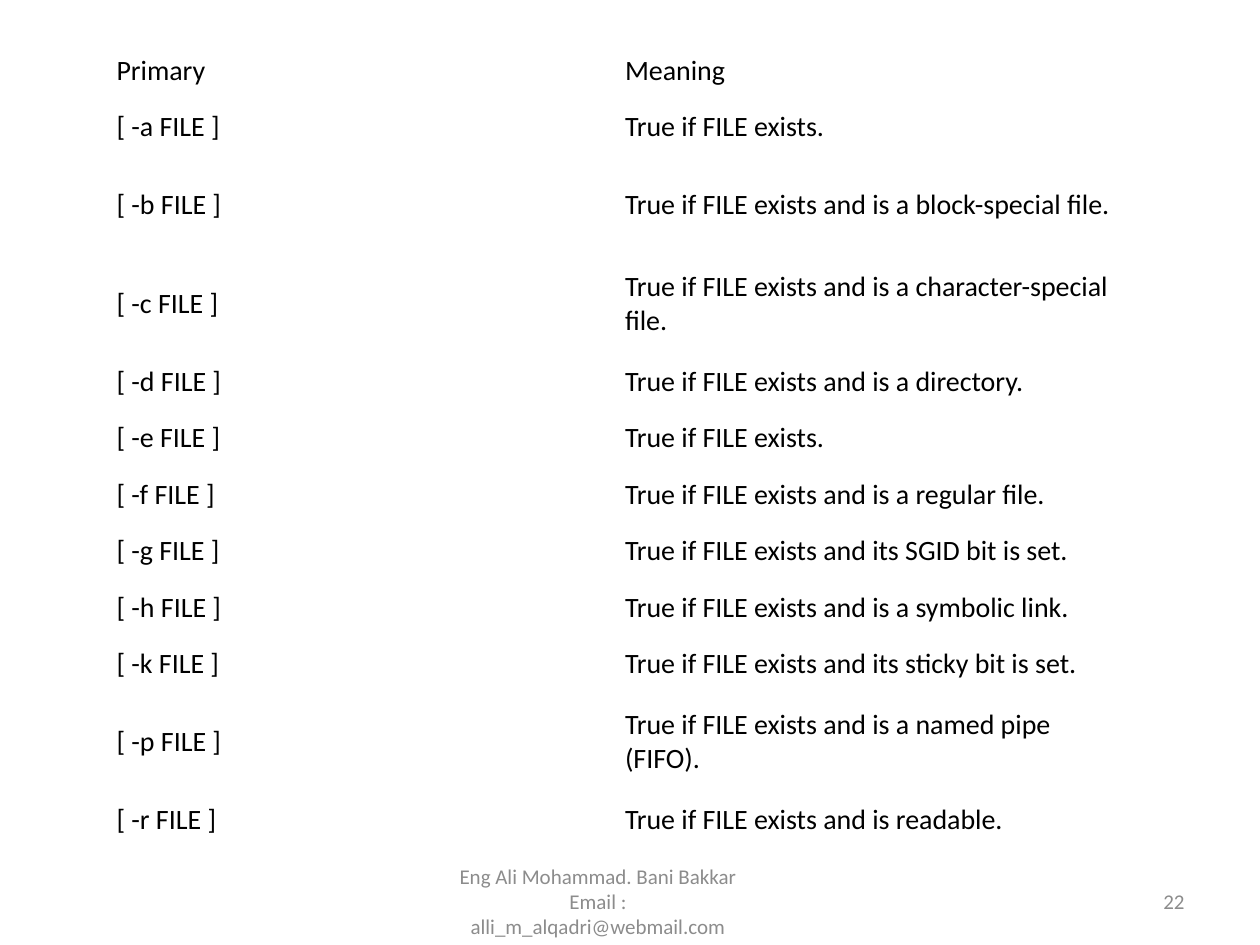
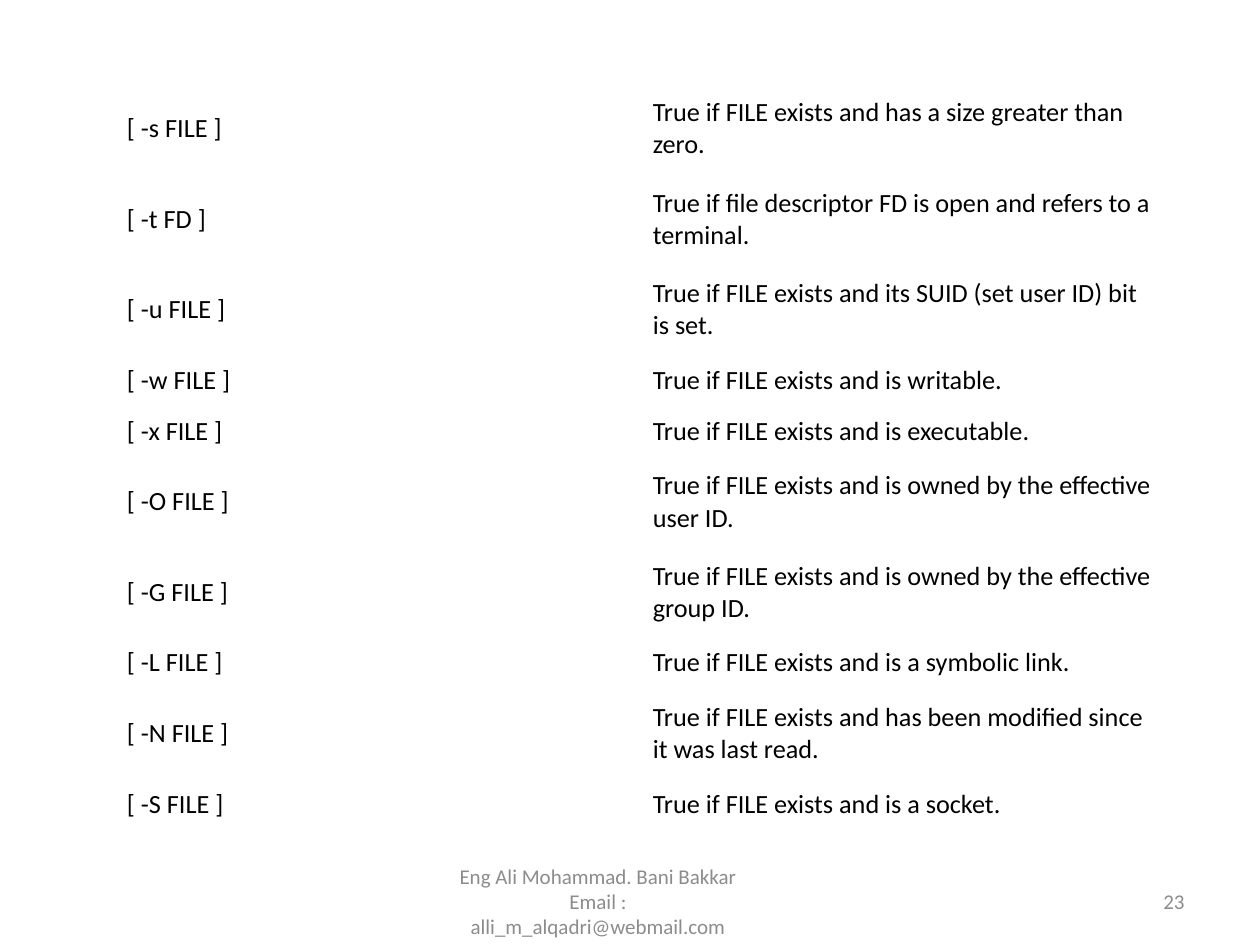
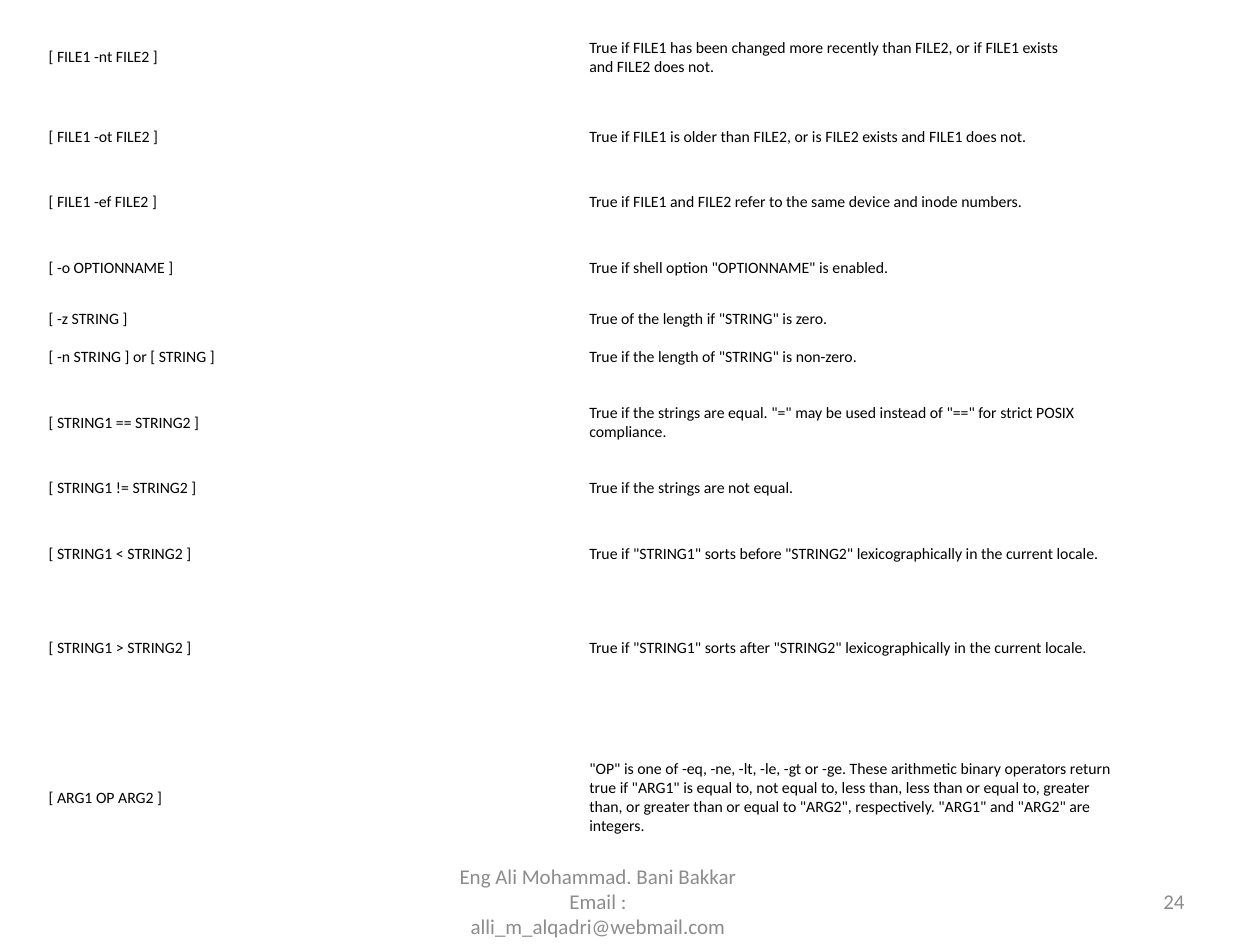
from pptx import Presentation
from pptx.dml.color import RGBColor
from pptx.enum.text import MSO_ANCHOR, PP_ALIGN
from pptx.util import Cm, Pt

BLACK, GREY, WHITE = "000000", "8C8C8C", "FFFFFF"
NO_BREAK_SPACE = chr(160)
FIRST_PAGE = 22
AUTHOR = "Eng Ali Mohammad. Bani Bakkar"
EMAIL = "Email : alli_m_alqadri@webmail.com"

FILE_TYPE_TESTS = [
    ("Primary", "Meaning"),
    ("[ -a FILE ]", "True if FILE exists."),
    ("[ -b FILE ]", "True if FILE exists and is a block-special file."),
    ("[ -c FILE ]", "True if FILE exists and is a character-special file."),
    ("[ -d FILE ]", "True if FILE exists and is a directory."),
    ("[ -e FILE ]", "True if FILE exists."),
    ("[ -f FILE ]", "True if FILE exists and is a regular file."),
    ("[ -g FILE ]", "True if FILE exists and its SGID bit is set."),
    ("[ -h FILE ]", "True if FILE exists and is a symbolic link."),
    ("[ -k FILE ]", "True if FILE exists and its sticky bit is set."),
    ("[ -p FILE ]", "True if FILE exists and is a named pipe (FIFO)."),
    ("[ -r FILE ]", "True if FILE exists and is readable."),
]
FILE_STATE_TESTS = [
    ("[ -s FILE ]", "True if FILE exists and has a size greater than zero."),
    ("[ -t FD ]", "True if file descriptor FD is open and refers to a terminal."),
    ("[ -u FILE ]", "True if FILE exists and its SUID (set user ID) bit is set."),
    ("[ -w FILE ]", "True if FILE exists and is writable."),
    ("[ -x FILE ]", "True if FILE exists and is executable."),
    ("[ -O FILE ]", "True if FILE exists and is owned by the effective user ID."),
    ("[ -G FILE ]", "True if FILE exists and is owned by the effective group ID."),
    ("[ -L FILE ]", "True if FILE exists and is a symbolic link."),
    ("[ -N FILE ]", "True if FILE exists and has been modified since it was last read."),
    ("[ -S FILE ]", "True if FILE exists and is a socket."),
]
COMPARISON_TESTS = [
    ("[ FILE1 -nt FILE2 ]",
     "True if FILE1 has been changed more recently than FILE2, or if FILE1 exists "
     "and FILE2 does not."),
    ("[ FILE1 -ot FILE2 ]",
     "True if FILE1 is older than FILE2, or is FILE2 exists and FILE1 does not."),
    ("[ FILE1 -ef FILE2 ]",
     "True if FILE1 and FILE2 refer to the same device and inode numbers."),
    ("[ -o OPTIONNAME ]", 'True if shell option "OPTIONNAME" is enabled.'),
    ("[ -z STRING ]", 'True of the length if "STRING" is zero.'),
    ("[ -n STRING ] or [ STRING ]", 'True if the length of "STRING" is non-zero.'),
    ("[ STRING1 == STRING2 ]",
     'True if the strings are equal. "=" may be used instead of "==" for strict '
     "POSIX compliance."),
    ("[ STRING1 != STRING2 ]", "True if the strings are not equal."),
    ("[ STRING1 < STRING2 ]",
     'True if "STRING1" sorts before "STRING2" lexicographically in the current locale.'),
    ("[ STRING1 > STRING2 ]",
     'True if "STRING1" sorts after "STRING2" lexicographically in the current locale.'),
    ("[ ARG1 OP ARG2 ]",
     '"OP" is one of -eq, -ne, -lt, -le, -gt or -ge. These arithmetic binary operators '
     'return true if "ARG1" is equal to, not equal to, less than, less than or equal to, '
     'greater than, or greater than or equal to "ARG2", respectively. "ARG1" and "ARG2" '
     "are integers."),
]

PAGES = [
    dict(tests=FILE_TYPE_TESTS, left=2.12, top=0.85, column=10.25, size=16, insets=(0.23, 0.11),
         heights=[1.14] * 2 + [2] * 2 + [1.14] * 6 + [2, 1.14]),
    dict(tests=FILE_STATE_TESTS, left=2.33, top=1.69, column=10.6, size=15, insets=(0.23, 0.11),
         heights=[1.82] * 3 + [1.03] * 2 + [1.82] * 2 + [1.03, 1.82, 1.03]),
    dict(tests=COMPARISON_TESTS, left=0.85, top=0.21, column=10.9, size=9, insets=(0.13, 0.07),
         heights=[1.89] + [1.32] * 3 + [0.76] * 2 + [1.89, 0.76] + [1.89] * 2 + [4.15]),
]


def color(code):
    """Turn a hex string into a colour."""
    return RGBColor.from_string(code)


def apply(target, values):
    """Set each named attribute of the target."""
    for name, value in values.items():
        setattr(target, name, value)


def keep_terms(sentence):
    """Tie shell terms to their neighbours so that lines break between plain words."""
    words = sentence.split(" ")
    tied = words[0]
    for before, after in zip(words, words[1:]):
        glued = is_term(after) or is_term(before) and before[-1] not in ",."
        tied += (NO_BREAK_SPACE if glued else " ") + after
    return tied


def is_term(word):
    """Tell whether a word is a file, a descriptor, an option or a quoted name."""
    return word.startswith(("FILE", "FD", "-", '"'))


class Deck:
    """Holds the shared style and the slide being filled."""

    font = "Calibri"
    footer_top, footer_height, footer_size = 17.66, 1.01, 12

    def __init__(self):
        """Start an empty 4:3 presentation."""
        self.presentation = Presentation()
        apply(self.presentation, dict(slide_width=Cm(25.4), slide_height=Cm(19.05)))
        self.slide = None

    def add_slide(self):
        """Open a new blank slide."""
        self.slide = self.presentation.slides.add_slide(self.presentation.slide_layouts[6])

    def add_words(self, paragraph, words, size, code, alignment=PP_ALIGN.LEFT):
        """Put one styled run into a paragraph."""
        paragraph.alignment = alignment
        run = paragraph.add_run()
        run.text = words
        apply(run.font, dict(name=self.font, size=Pt(size)))
        run.font.color.rgb = color(code)

    def add_tests(self, tests, left, top, column, size, insets, heights):
        """Add the two-column table of tests and meanings."""
        table = self.slide.shapes.add_table(
            len(tests), 2, Cm(left), Cm(top), Cm(2 * column), Cm(sum(heights))).table
        apply(table, dict(first_row=False, horz_banding=False))
        side, edge = map(Cm, insets)
        cell_format = dict(margin_left=side, margin_right=side, margin_top=edge,
                           margin_bottom=edge, vertical_anchor=MSO_ANCHOR.MIDDLE)
        for test_column in table.columns:
            test_column.width = Cm(column)
        for row, height, test in zip(table.rows, heights, tests):
            row.height = Cm(height)
            for cell, sentence in zip(row.cells, test):
                apply(cell, cell_format)
                cell.fill.solid()
                cell.fill.fore_color.rgb = color(WHITE)
                self.add_words(cell.text_frame.paragraphs[0], keep_terms(sentence), size, BLACK)

    def add_footer_part(self, left, width, lines, alignment):
        """Add one grey footer box and return its paragraphs."""
        frame = self.slide.shapes.add_textbox(
            Cm(left), Cm(self.footer_top), Cm(width), Cm(self.footer_height)).text_frame
        apply(frame, dict(word_wrap=True, vertical_anchor=MSO_ANCHOR.MIDDLE))
        for index, line in enumerate(lines):
            paragraph = frame.add_paragraph() if index else frame.paragraphs[0]
            self.add_words(paragraph, line, self.footer_size, GREY, alignment)
        return frame.paragraphs

    def add_footer(self, page):
        """Add the author's address and the page number."""
        author = self.add_footer_part(8.68, 8.04, [AUTHOR, EMAIL], PP_ALIGN.CENTER)[0]
        author._p.get_or_add_pPr().set("marR", str(Cm(1.29)))
        self.add_footer_part(18.2, 5.93, [str(page)], PP_ALIGN.RIGHT)


def main():
    """Build the three pages of shell tests."""
    deck = Deck()
    for number, page in enumerate(PAGES, FIRST_PAGE):
        deck.add_slide()
        deck.add_tests(**page)
        deck.add_footer(number)
    deck.presentation.save("out.pptx")


if __name__ == "__main__":
    main()
